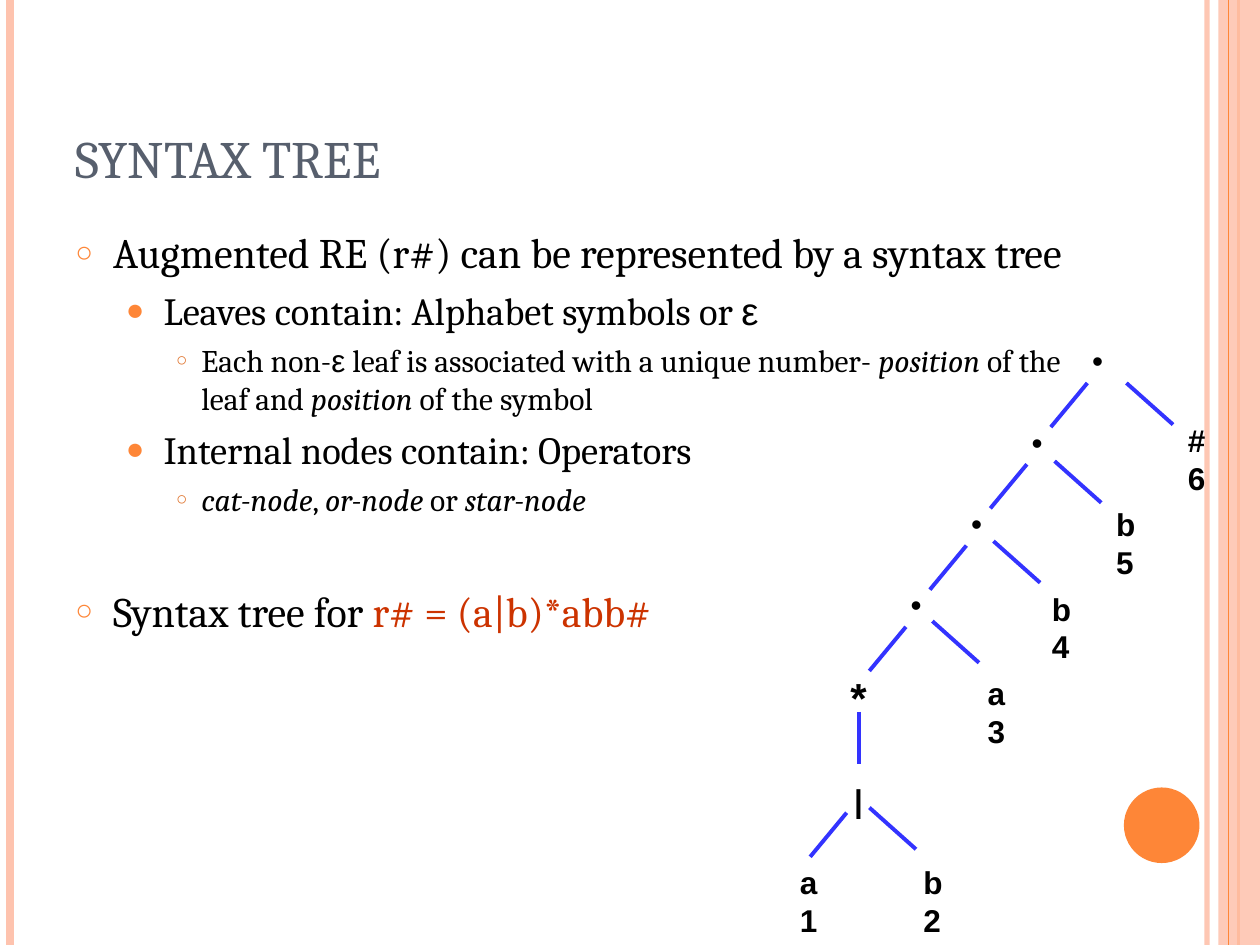
from collections import namedtuple

from lxml import etree
from pptx import Presentation
from pptx.dml.color import RGBColor
from pptx.enum.shapes import MSO_CONNECTOR, MSO_SHAPE
from pptx.enum.text import MSO_ANCHOR, MSO_AUTO_SIZE, PP_ALIGN
from pptx.oxml.ns import qn
from pptx.util import Inches, Pt

STRAIGHT = MSO_CONNECTOR.STRAIGHT
RECTANGLE, OVAL = MSO_SHAPE.RECTANGLE, MSO_SHAPE.OVAL
BOTTOM, LEFT = MSO_ANCHOR.BOTTOM, PP_ALIGN.LEFT
NO_FIT, GROW = MSO_AUTO_SIZE.NONE, MSO_AUTO_SIZE.SHAPE_TO_FIT_TEXT

ORANGE, PINK, SLATE = "FE8637", "FEC3AE", "575F6D"
BLACK, RED, BLUE = "000000", "CC3300", "3333FF"
SERIF, SANS = "Cambria", "Arial"

Box = namedtuple("Box", "left top width height")
Level = namedtuple("Level", "margin hang size before bullet color percent")
LEVELS = [
    Level(0.3, 0.3, 24, 6, "○", ORANGE, 70),
    Level(0.7, 0.3, 22, 5.5, "●", ORANGE, 80),
    Level(1.0, 0.2, 18, 4.5, "○", "E0752F", 60),
]


def rgb(value):
    return RGBColor.from_string(value)


def inches(*lengths):
    return [Inches(length) for length in lengths]


def set_alpha(color_parent, percent):
    color = color_parent.find(".//" + qn("a:srgbClr"))
    etree.SubElement(color, qn("a:alpha"), val=str(percent * 1000))


def add_text(para, text, font=SERIF, size=18, color=BLACK, bold=False, italic=False):
    span = para.add_run()
    span.text = text
    span.font.name = font
    span.font.size = Pt(size)
    span.font.color.rgb = rgb(color)
    span.font.bold = bold
    span.font.italic = italic


def add_line(page, start, end, color, width, alpha=None):
    line = page.shapes.add_connector(STRAIGHT, *inches(*start, *end))
    line.line.color.rgb = rgb(color)
    line.line.width = Pt(width)
    properties = line._element.spPr
    if alpha:
        set_alpha(properties, alpha)
    etree.SubElement(properties, qn("a:effectLst"))


def add_solid(page, kind, box, color, alpha=None):
    shape = page.shapes.add_shape(kind, *inches(*box))
    shape.shadow.inherit = False
    shape.fill.solid()
    shape.fill.fore_color.rgb = rgb(color)
    shape.line.fill.background()
    if alpha:
        set_alpha(shape._element.spPr, alpha)


def add_side_bands(page, box):
    def stripe(offset, color, width, alpha=None):
        x = box.left + offset
        add_line(page, (x, box.top), (x, box.top + box.height), color, width, alpha)

    stripe(9.58, PINK, 3, 93)
    stripe(0.08, PINK, 4.5)
    stripe(9.83, ORANGE, 1.5)
    band = Box(box.left + 9.67, box.top, 0.33, box.height)
    add_solid(page, RECTANGLE, band, PINK, 87)
    stripe(9.75, ORANGE, 0.75)
    add_solid(page, OVAL, Box(box.left + 8.92, box.top + 6.25, 0.6, 0.6), ORANGE)


def place_title(page, box, text):
    title = page.shapes.title
    title.left, title.top, title.width, title.height = inches(*box)
    frame = title.text_frame
    frame.vertical_anchor = BOTTOM
    frame.auto_size = NO_FIT
    para = frame.paragraphs[0]
    para.alignment = LEFT
    add_text(para, text, size=30, color=SLATE)


def add_bullet(para, level):
    properties = para._p.get_or_add_pPr()
    properties.set("marL", str(Inches(level.margin)))
    properties.set("indent", str(-Inches(level.hang)))
    bullet_color = etree.SubElement(properties, qn("a:buClr"))
    etree.SubElement(bullet_color, qn("a:srgbClr"), val=level.color)
    etree.SubElement(properties, qn("a:buSzPct"), val=str(level.percent * 1000))
    etree.SubElement(properties, qn("a:buFont"), typeface=SANS)
    etree.SubElement(properties, qn("a:buChar"), char=level.bullet)


def add_outline(page, box):
    """Bulleted text: each item is a level, its spans and any extra gap above."""
    epsilon = ("ε", {"font": SANS})
    slanted = {"italic": True}
    items = [
        (0, [("Augmented RE (r#) can be represented by a syntax tree", {})], 0),
        (1, [("Leaves contain: Alphabet symbols or ", {}), epsilon], 0),
        (2, [("Each non-", {}), epsilon,
             (" leaf is associated with a unique number- ", {}),
             ("position", slanted), (" of the leaf and ", {}),
             ("position", slanted), (" of the symbol", {})], 0),
        (1, [("Internal nodes contain: Operators", {})], 0),
        (2, [("cat-node", slanted), (", ", {}), ("or-node", slanted),
             (" or ", {}), ("star-node", slanted)], 0),
        (0, [("Syntax tree for ", {}), ("r# = (a|b)*abb#", {"color": RED})], 32.5),
    ]
    frame = page.shapes.add_textbox(*inches(*box)).text_frame
    frame.word_wrap = True
    for index, (depth, spans, gap) in enumerate(items):
        level = LEVELS[depth]
        para = frame.add_paragraph() if index else frame.paragraphs[0]
        para.level = depth
        add_bullet(para, level)
        para.space_before = Pt(level.before + gap if index else 0)
        for text, style in spans:
            add_text(para, text, size=level.size, **style)


def add_node(page, box, lines, size=18, bold=True):
    frame = page.shapes.add_textbox(*inches(*box)).text_frame
    frame.word_wrap = False
    frame.auto_size = GROW
    for index, text in enumerate(lines):
        para = frame.add_paragraph() if index else frame.paragraphs[0]
        add_text(para, text, font=SANS, size=size, bold=bold)


def add_syntax_tree(page, box):
    def node(x, y, width, height, lines, **style):
        place = Box(box.left + x, box.top + y, width, height)
        add_node(page, place, lines, **style)

    def branch(x, y, run, drop):
        x, y = box.left + x, box.top + y
        add_line(page, (x, y), (x + run, y + drop), BLUE, 2.25)

    for step in range(4):
        node(2.32 - 0.48 * step, 0.645 * step, 0.3, 0.4, "•", bold=False)
    node(0.4, 2.62, 0.33, 0.5, "*", size=24)
    node(0.43, 3.49, 0.27, 0.4, "|")

    leaves = [(3.08, 0.63, "#6")]
    leaves += [(2.51 - 0.51 * step, 1.3 + 0.67 * step, label)
               for step, label in enumerate(["b5", "b4", "a3"])]
    leaves += [(0.98, 4.14, "b2"), (0, 4.14, "a1")]
    for x, y, label in leaves:
        node(x, y, 0.35, 0.7, label)

    left_starts = [(2.38 - 0.48 * step, 0.38 + 0.645 * step) for step in range(4)]
    for x, y in left_starts + [(0.47, 3.79)]:
        branch(x, y, -0.29, 0.35)
    right_starts = [(2.12 - 0.485 * step, 1 + 0.635 * step) for step in range(3)]
    for x, y in [(2.69, 0.38)] + right_starts + [(0.65, 3.75)]:
        branch(x, y, 0.37, 0.33)
    branch(0.57, 2.99, 0, 0.41)


def main():
    deck = Presentation()
    deck.slide_width, deck.slide_height = inches(10, 7.5)
    page = deck.slides.add_slide(deck.slide_layouts[5])
    add_side_bands(page, Box(0, 0, 10, 7.5))
    place_title(page, Box(0.5, 0.3, 8.17, 1.25), "SYNTAX TREE")
    add_outline(page, Box(0.5, 1.75, 8.17, 5.33))
    add_syntax_tree(page, Box(6.25, 2.66, 3.42, 4.84))
    deck.save("out.pptx")


if __name__ == "__main__":
    main()
